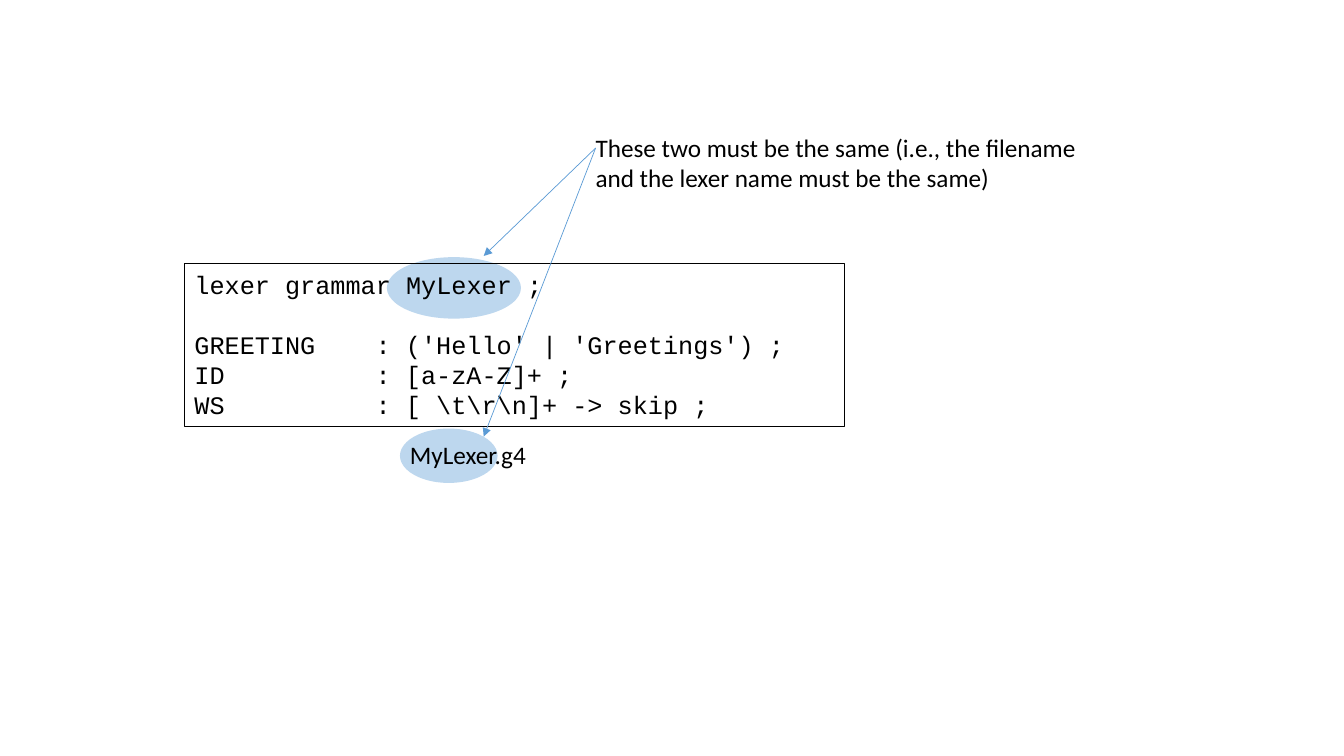
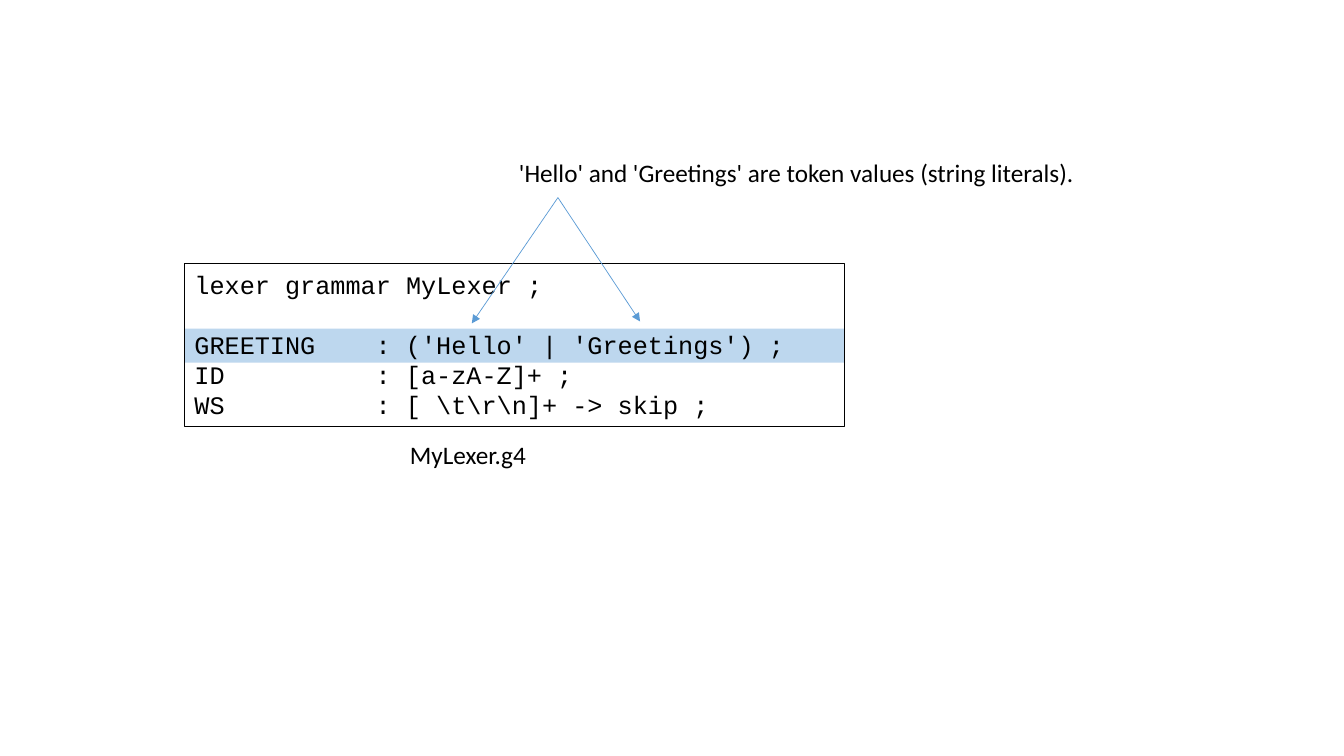
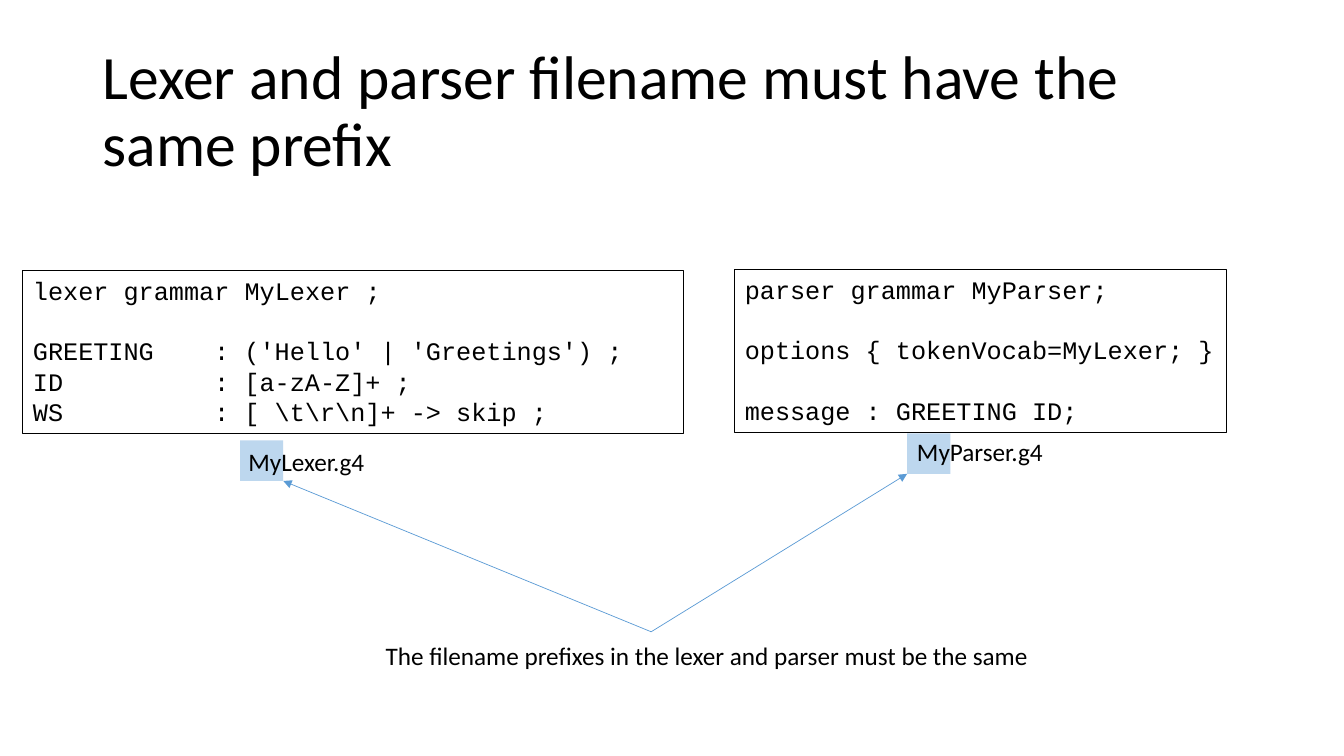
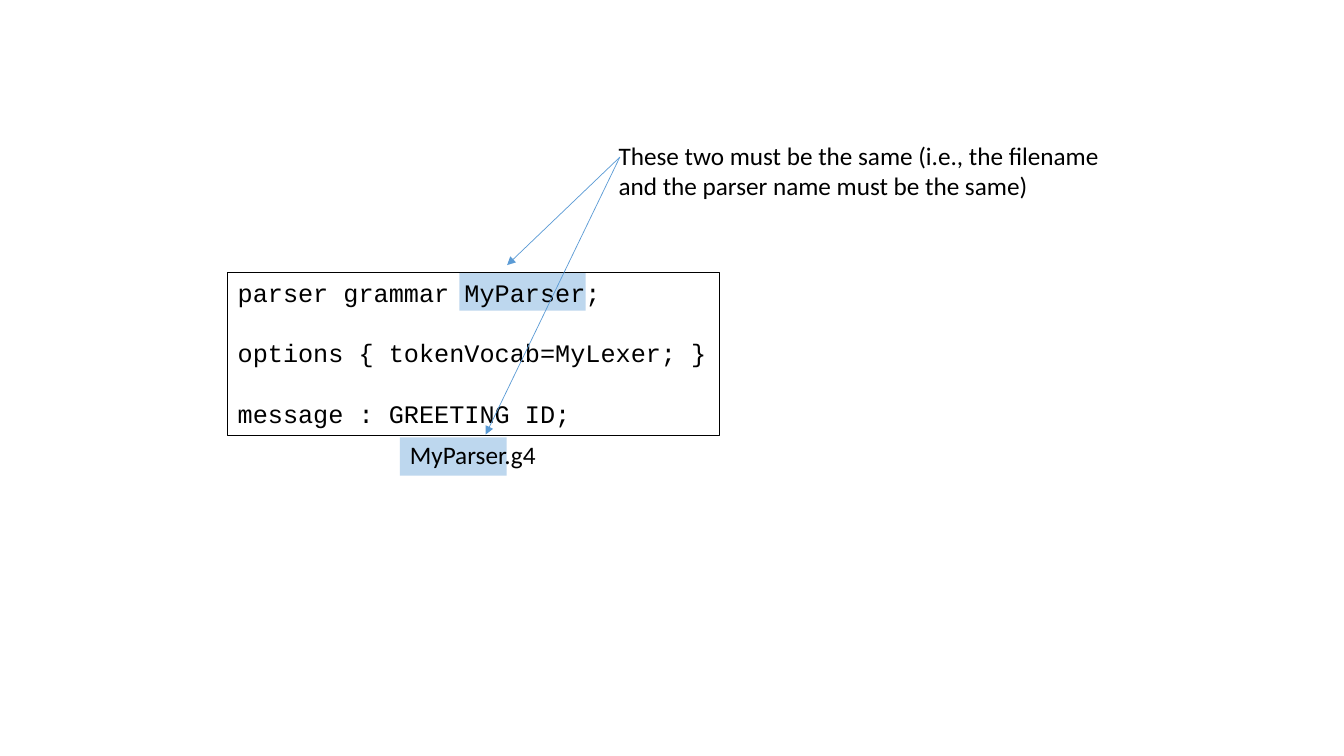
import lxml.etree
import pptx
import pptx.dml.color
import pptx.enum.shapes
import pptx.enum.text
import pptx.oxml.ns
import pptx.util

Cm = pptx.util.Cm
Pt = pptx.util.Pt
SHAPES = pptx.enum.shapes.MSO_SHAPE
COLORS = {"text": "000000", "highlight": "BDD7EE", "arrow": "5B9BD5"}
BODY_FONT = "Calibri"
CODE_FONT = "Courier New"
TEXT_SIZE = 18
BLANK_LINE = 21.6
CODE_TAB = 4.57
CODE_HEIGHT = 4.11
LABEL_HEIGHT = 1.02

LEXER = {
    "width": 16.64,
    "file": "MyLexer.g4",
    "file_offset": (5.43, 4.3),
    "blocks": [
        ["lexer grammar MyLexer ;"],
        [
            "GREETING\t: ('Hello' | 'Greetings') ;",
            "ID\t: [a-zA-Z]+ ;",
            "WS\t: [ \\t\\r\\n]+ -> skip ;",
        ],
    ],
}
PARSER = {
    "width": 12.4,
    "file": "MyParser.g4",
    "file_offset": (4.34, 4.09),
    "blocks": [
        ["parser grammar MyParser;"],
        ["options { tokenVocab=MyLexer; }"],
        ["message : GREETING ID;"],
    ],
}


def color(name):
    return pptx.dml.color.RGBColor.from_string(COLORS[name])


def add_run(paragraph, text, font=BODY_FONT, size=TEXT_SIZE):
    run = paragraph.add_run()
    run.text = text
    run.font.name = font
    run.font.size = Pt(size)
    run.font.color.rgb = color("text")


def add_text_box(slide, left, top, width, height):
    shape = slide.shapes.add_textbox(Cm(left), Cm(top), Cm(width), Cm(height))
    shape.text_frame.word_wrap = True
    shape.text_frame.margin_right = 0
    return shape


def add_label(slide, left, top, width, height, text):
    shape = add_text_box(slide, left, top, width, height)
    add_run(shape.text_frame.paragraphs[0], text)


def add_highlight(slide, kind, left, top, width, height):
    shape = slide.shapes.add_shape(kind, Cm(left), Cm(top), Cm(width), Cm(height))
    shape.shadow.inherit = False
    shape.fill.solid()
    shape.fill.fore_color.rgb = color("highlight")
    shape.line.fill.background()


def add_arrow(slide, start, end):
    points = [Cm(value) for value in start + end]
    connector = slide.shapes.add_connector(
        pptx.enum.shapes.MSO_CONNECTOR.STRAIGHT, *points
    )
    connector.line.color.rgb = color("arrow")
    connector.line.width = Pt(0.5)
    line = connector.line._get_or_add_ln()
    lxml.etree.SubElement(line, pptx.oxml.ns.qn("a:tailEnd"), type="triangle")
    properties = connector._element.spPr
    lxml.etree.SubElement(properties, pptx.oxml.ns.qn("a:effectLst"))


def add_code_tab(paragraph):
    properties = paragraph._p.get_or_add_pPr()
    tabs = lxml.etree.SubElement(properties, pptx.oxml.ns.qn("a:tabLst"))
    lxml.etree.SubElement(
        tabs, pptx.oxml.ns.qn("a:tab"), pos=str(int(Cm(CODE_TAB))), algn="l"
    )


def add_code(slide, left, top, width, blocks):
    shape = add_text_box(slide, left, top, width, CODE_HEIGHT)
    shape.line.color.rgb = color("text")
    shape.line.width = Pt(0.75)
    frame = shape.text_frame
    for block_index, block in enumerate(blocks):
        for line_index, text in enumerate(block):
            first = block_index == 0 and line_index == 0
            paragraph = frame.paragraphs[0] if first else frame.add_paragraph()
            if block_index and line_index == 0:
                paragraph.space_before = Pt(BLANK_LINE)
            if "\t" in text:
                add_code_tab(paragraph)
            add_run(paragraph, text, CODE_FONT)


def add_grammar(slide, left, top, grammar, highlights):
    for kind, x, y, width, height in highlights:
        add_highlight(slide, kind, left + x, top + y, width, height)
    add_code(slide, left, top, grammar["width"], grammar["blocks"])
    x, y = grammar["file_offset"]
    add_label(slide, left + x, top + y, 4, LABEL_HEIGHT, grammar["file"])


def add_note(slide, left, top, width, height, text, origin, tips):
    start = (left + origin[0], top + origin[1])
    for x, y in tips:
        add_arrow(slide, start, (left + x, top + y))
    add_label(slide, left, top, width, height, text)


def add_title(slide, text):
    title = slide.shapes.title
    title.left, title.top = Cm(2.33), Cm(1.01)
    title.width, title.height = Cm(29.21), Cm(3.68)
    frame = title.text_frame
    frame.word_wrap = True
    frame.auto_size = pptx.enum.text.MSO_AUTO_SIZE.NONE
    frame.vertical_anchor = pptx.enum.text.MSO_ANCHOR.MIDDLE
    paragraph = frame.paragraphs[0]
    paragraph.alignment = pptx.enum.text.PP_ALIGN.LEFT
    paragraph.line_spacing = 0.9
    add_run(paragraph, text, size=44)


def add_slide(presentation, title=None):
    layout = presentation.slide_layouts[5 if title else 6]
    slide = presentation.slides.add_slide(layout)
    if title:
        add_title(slide, title)
    return slide


def build_lexer_name(presentation):
    slide = add_slide(presentation)
    highlights = [
        (SHAPES.OVAL, 5.43, 4.15, 2.46, 1.37),
        (SHAPES.OVAL, 5.1, -0.17, 3.38, 1.55),
    ]
    add_grammar(slide, 4.65, 6.65, LEXER, highlights)
    text = (
        "These two must be the same (i.e., the filename "
        "and the lexer name must be the same)"
    )
    tips = [(-2.57, 3.25), (-2.57, 7.8)]
    add_note(slide, 14.76, 3.2, 12.95, 1.8, text, (0.25, 0.53), tips)


def build_token_values(presentation):
    slide = add_slide(presentation)
    highlights = [(SHAPES.RECTANGLE, 0, 1.63, LEXER["width"], 0.86)]
    add_grammar(slide, 4.65, 6.65, LEXER, highlights)
    text = "'Hello' and 'Greetings' are token values (string literals)."
    tips = [(-0.94, 4.31), (3.3, 4.26)]
    add_note(slide, 12.83, 3.84, 14.68, LABEL_HEIGHT, text, (1.23, 1.14), tips)


def build_shared_prefix(presentation):
    slide = add_slide(
        presentation, "Lexer and parser filename must have the same prefix"
    )
    panels = [
        (0.58, 6.81, LEXER, (5.47, 4.29)),
        (18.52, 6.78, PARSER, (4.34, 4.14)),
    ]
    for left, top, grammar, prefix in panels:
        highlights = [(SHAPES.RECTANGLE, *prefix, 1.09, 1.02)]
        add_grammar(slide, left, top, grammar, highlights)
    text = "The filename prefixes in the lexer and parser must be the same"
    tips = [(-2.33, -3.88), (13.39, -4.06)]
    add_note(slide, 9.47, 16, 16.92, LABEL_HEIGHT, text, (6.94, -0.08), tips)


def build_parser_name(presentation):
    slide = add_slide(presentation)
    highlights = [
        (SHAPES.RECTANGLE, 4.34, 4.16, 2.69, 0.97),
        (SHAPES.RECTANGLE, 5.84, 0, 3.18, 0.97),
    ]
    add_grammar(slide, 5.74, 6.86, PARSER, highlights)
    text = (
        "These two must be the same (i.e., the filename "
        "and the parser name must be the same)"
    )
    tips = [(-2.56, 3.28), (-3.1, 7.55)]
    add_note(slide, 15.34, 3.4, 12.95, 1.8, text, (0.28, 0.56), tips)


def main():
    presentation = pptx.Presentation()
    presentation.slide_width = Cm(33.87)
    presentation.slide_height = Cm(19.05)
    build_lexer_name(presentation)
    build_token_values(presentation)
    build_shared_prefix(presentation)
    build_parser_name(presentation)
    presentation.save("out.pptx")


if __name__ == "__main__":
    main()
